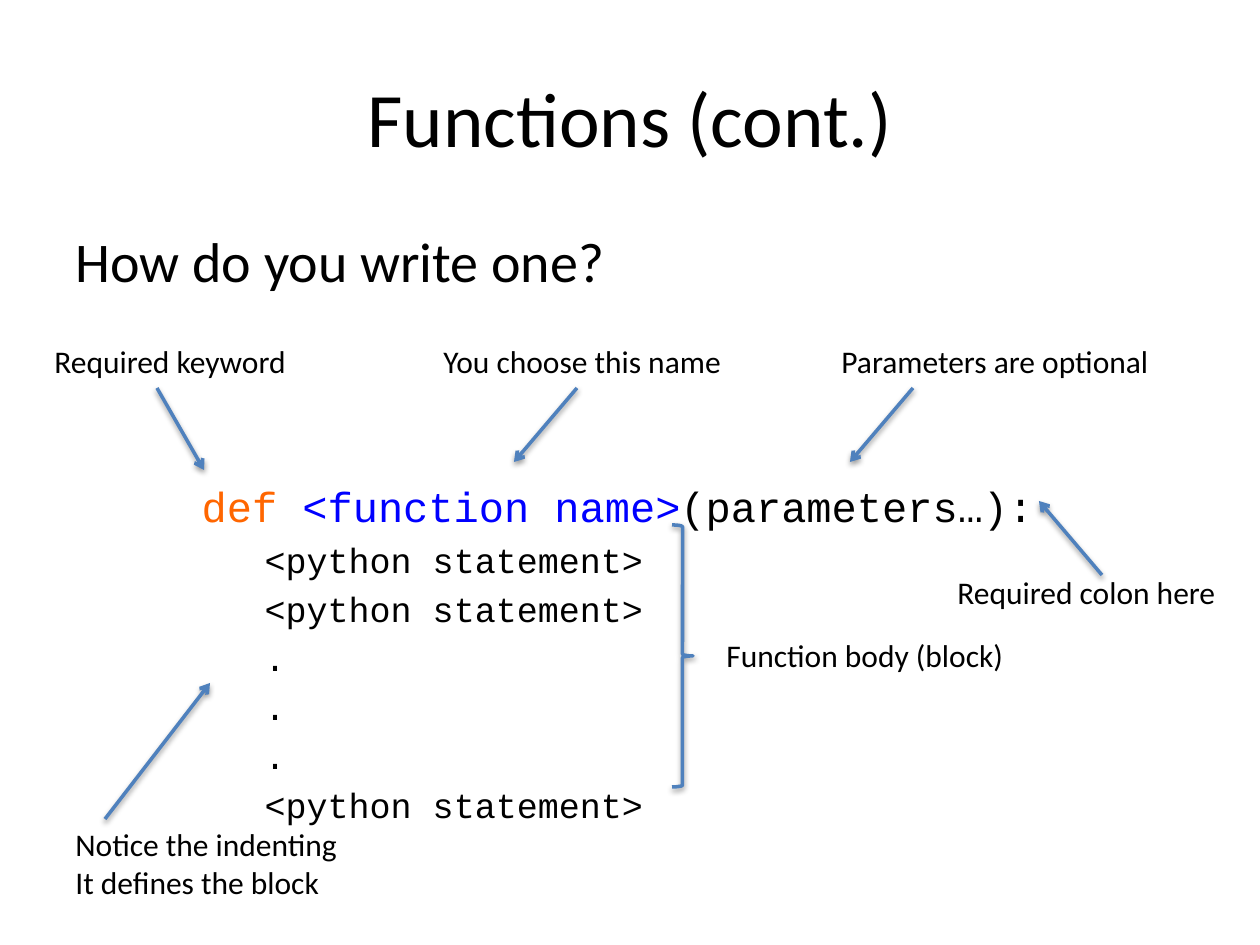
from dataclasses import dataclass
from typing import NamedTuple

from lxml.etree import SubElement
from pptx import Presentation
from pptx.dml.color import RGBColor as Rgb
from pptx.enum.shapes import MSO_CONNECTOR as Link, MSO_SHAPE as Shape
from pptx.enum.text import MSO_AUTO_SIZE as Fit
from pptx.oxml import parse_xml
from pptx.oxml.ns import qn
from pptx.util import Pt

PX = 914400 / 126  # EMU in one px


@dataclass(frozen=True)
class Theme:
    sans: str = "Calibri"
    mono: str = "Courier New"
    ink: str = "000000"
    key: str = "FF6600"
    name: str = "0000FF"
    line: str = "4F81BD"
    title: int = 44
    lead: int = 32
    code: int = 24
    block: int = 20
    note: int = 18
    width: int = 2


class Box(NamedTuple):
    x: int
    y: int
    w: int
    h: int


class Note(NamedTuple):
    text: str
    box: Box


class Arrow(NamedTuple):
    x1: int
    y1: int
    x2: int
    y2: int


class Span(NamedTuple):
    text: str
    color: str


class Row(NamedTuple):
    spans: list[Span]
    level: int
    left: int
    size: int
    font: str


THEME = Theme()

TITLE = Box(63, 38, 1134, 157)
BODY = Box(63, 220, 1134, 624)
BRACE = Box(672, 525, 21, 262)
CODE_GAP = 107  # points between the question and the code

NOTES = [
    Note("Required keyword", Box(42, 336, 262, 51)),
    Note("You choose this name", Box(431, 336, 315, 51)),
    Note("Parameters are optional", Box(829, 336, 336, 51)),
    Note("Function body (block)", Box(714, 630, 305, 51)),
    Note("Notice the indenting\nIt defines the block", Box(63, 819, 294, 89)),
    Note("Required colon here", Box(945, 567, 294, 51)),
]

ARROWS = [
    Arrow(157, 388, 204, 470),
    Arrow(577, 388, 514, 462),
    Arrow(913, 388, 850, 462),
    Arrow(105, 819, 210, 683),
    Arrow(1102, 575, 1039, 501),
]

STATEMENT = "<python statement>"
BLOCK = [STATEMENT, STATEMENT, ".", ".", ".", STATEMENT]
ROWS = [
    Row([Span("How do you write one?", THEME.ink)], 0, 0, THEME.lead, THEME.sans),
    Row([Span("def ", THEME.key), Span("<function name>", THEME.name),
         Span("(parameters…):", THEME.ink)], 2, 126, THEME.code, THEME.mono),
    *(Row([Span(text, THEME.ink)], 3, 189, THEME.block, THEME.mono)
      for text in BLOCK),
]

SHADOW = (
    '<a:effectLst xmlns:a="http://schemas.openxmlformats.org/drawingml/2006/main">'
    '<a:outerShdw blurRad="40000" dist="20000" dir="5400000" rotWithShape="0">'
    '<a:srgbClr val="000000"><a:alpha val="38000"/></a:srgbClr>'
    '</a:outerShdw></a:effectLst>'
)


def emu(*sizes: int) -> list[int]:
    return [round(size * PX) for size in sizes]


def place(shape, box: Box) -> None:
    shape.left, shape.top, shape.width, shape.height = emu(*box)


def style(run, size: int, font: str = THEME.sans, color: str = THEME.ink) -> None:
    run.font.size = Pt(size)
    run.font.name = font
    run.font.color.rgb = Rgb.from_string(color)


def stroke(shape) -> None:
    shape.line.color.rgb = Rgb.from_string(THEME.line)
    shape.line.width = Pt(THEME.width)
    shape.element.spPr.append(parse_xml(SHADOW))


def add_title(slide, text: str) -> None:
    title = slide.shapes.title
    place(title, TITLE)
    title.text_frame.text = text
    style(title.text_frame.paragraphs[0].runs[0], THEME.title)


def add_row(para, row: Row) -> None:
    para.level = row.level
    props = para._p.get_or_add_pPr()
    props.set("marL", str(emu(row.left)[0]))
    props.set("indent", "0")
    SubElement(props, qn("a:buNone"))
    for span in row.spans:
        run = para.add_run()
        run.text = span.text
        style(run, row.size, row.font, span.color)


def add_body(slide, rows: list[Row]) -> None:
    body = slide.placeholders[1]
    place(body, BODY)
    frame = body.text_frame
    frame.auto_size = Fit.NONE
    for i, row in enumerate(rows):
        add_row(frame.add_paragraph() if i else frame.paragraphs[0], row)
    frame.paragraphs[0].space_before = Pt(0)
    frame.paragraphs[1].space_before = Pt(CODE_GAP)


def add_note(slide, note: Note) -> None:
    frame = slide.shapes.add_textbox(*emu(*note.box)).text_frame
    frame.word_wrap = True
    frame.auto_size = Fit.SHAPE_TO_FIT_TEXT
    frame.text = note.text
    for para in frame.paragraphs:
        style(para.runs[0], THEME.note)


def add_arrow(slide, arrow: Arrow) -> None:
    link = slide.shapes.add_connector(Link.STRAIGHT, *emu(*arrow))
    stroke(link)
    SubElement(link.line._get_or_add_ln(), qn("a:tailEnd"), type="arrow")


def add_brace(slide, box: Box) -> None:
    brace = slide.shapes.add_shape(Shape.RIGHT_BRACE, *emu(*box))
    brace.fill.background()
    stroke(brace)


def main() -> None:
    deck = Presentation()
    deck.slide_width, deck.slide_height = emu(1260, 945)
    slide = deck.slides.add_slide(deck.slide_layouts[1])

    # Title and code
    add_title(slide, "Functions (cont.)")
    add_body(slide, ROWS)

    # Remarks around the code
    for note in NOTES:
        add_note(slide, note)
    for arrow in ARROWS:
        add_arrow(slide, arrow)
    add_brace(slide, BRACE)

    deck.save("out.pptx")


if __name__ == "__main__":
    main()
